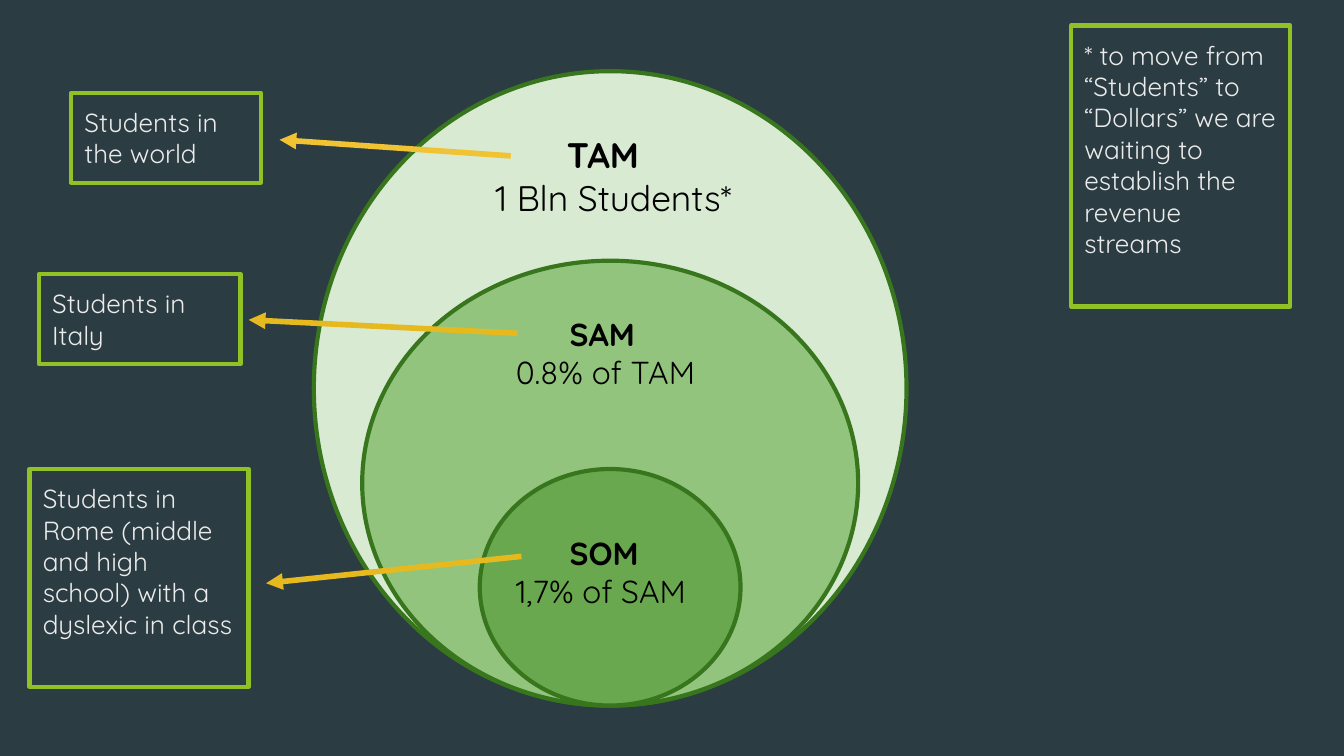
"""Build a market size slide: nested TAM, SAM and SOM circles with notes."""
from pptx import Presentation
from pptx.dml.color import RGBColor
from pptx.enum.shapes import MSO_CONNECTOR, MSO_SHAPE
from pptx.enum.text import MSO_ANCHOR, PP_ALIGN
from pptx.oxml.ns import qn
from pptx.util import Inches, Pt
from lxml.etree import SubElement

FONT = "Quicksand"
NIGHT = RGBColor(0x2C, 0x3C, 0x43)
PALE = RGBColor(0xD9, 0xEA, 0xD3)
MEDIUM = RGBColor(0x93, 0xC4, 0x7D)
STRONG = RGBColor(0x6A, 0xA8, 0x4F)
FOREST = RGBColor(0x38, 0x76, 0x1D)
LIME = RGBColor(0x90, 0xC2, 0x26)
GOLD = RGBColor(0xE6, 0xB9, 0x1E)
AMBER = RGBColor(0xF1, 0xC2, 0x32)
BLACK = RGBColor(0, 0, 0)
MIST = RGBColor(0xEB, 0xEB, 0xEB)

WIDTH = 10
HEIGHT = WIDTH * 9 / 16
CENTER, FLOOR = 4.54, 5.25
PADDING = 0.1

CIRCLES = [
    (MSO_SHAPE.OVAL, 4.41, 4.72, PALE),
    (MSO_SHAPE.FLOWCHART_CONNECTOR, 3.69, 3.31, MEDIUM),
    (MSO_SHAPE.OVAL, 1.94, 1.76, STRONG),
]
LABELS = [
    ((2.62, 0.89, 3.69, 0.84), 19,
     [("TAM", 1.5, PP_ALIGN.LEFT), ("1 Bln Students*", 0.2, PP_ALIGN.CENTER)]),
    ((3.74, 2.24, 1.84, 0.77), 17,
     [("SAM", 0.4, PP_ALIGN.LEFT), ("0.8% of TAM", 0, PP_ALIGN.LEFT)]),
    ((3.74, 3.87, 1.6, 0.77), 17,
     [("SOM", 0.4, PP_ALIGN.LEFT), ("1,7% of SAM", 0, PP_ALIGN.LEFT)]),
]
NOTES = [
    ("* to move from “Students” to “Dollars” we are waiting to establish "
     "the revenue streams", (7.97, 0.19, 1.63, 2.09)),
    ("Students in Italy", (0.29, 2.04, 1.5, 0.67)),
    ("Students in Rome (middle and high school) with a dyslexic in class",
     (0.22, 3.49, 1.63, 1.62)),
    ("Students in the world", (0.53, 0.69, 1.41, 0.67)),
]
ARROWS = [
    ((3.85, 2.48), (1.85, 2.38), GOLD),
    ((3.8, 1.16), (2.08, 1.04), AMBER),
    ((3.88, 4.14), (1.98, 4.34), GOLD),
]


def inches(values):
    return [Inches(value) for value in values]


def add_outlined(slide, kind, place, line_color, fill_color=None):
    shape = slide.shapes.add_shape(kind, *inches(place))
    shape.shadow.inherit = False
    if fill_color is None:
        shape.fill.background()
    else:
        shape.fill.solid()
        shape.fill.fore_color.rgb = fill_color
    shape.line.color.rgb = line_color
    shape.line.width = Pt(2.25)
    return shape


def write(box, lines, size, color, bold_first=False):
    frame = box.text_frame
    frame.word_wrap = True
    frame.vertical_anchor = MSO_ANCHOR.TOP
    frame.margin_left = frame.margin_right = Inches(PADDING)
    frame.margin_top = frame.margin_bottom = Inches(PADDING)
    for index, (text, indent, align) in enumerate(lines):
        para = frame.add_paragraph() if index else frame.paragraphs[0]
        para.alignment = align
        if indent:
            para._p.get_or_add_pPr().set("marL", str(Inches(indent)))
        span = para.add_run()
        span.text = text
        span.font.name = FONT
        span.font.size = Pt(size)
        span.font.bold = bold_first and index == 0
        span.font.color.rgb = color


def add_arrow(slide, start, end, color):
    arrow = slide.shapes.add_connector(
        MSO_CONNECTOR.STRAIGHT, *inches(start + end))
    arrow.line.color.rgb = color
    arrow.line.width = Pt(3)
    properties = arrow._element.spPr
    SubElement(properties.find(qn("a:ln")), qn("a:tailEnd"), type="triangle")
    SubElement(properties, qn("a:effectLst"))


def main():
    deck = Presentation()
    deck.slide_width, deck.slide_height = inches((WIDTH, HEIGHT))
    slide = deck.slides.add_slide(deck.slide_layouts[6])
    slide.background.fill.solid()
    slide.background.fill.fore_color.rgb = NIGHT

    for kind, width, height, color in CIRCLES:
        place = (CENTER - width / 2, FLOOR - height, width, height)
        add_outlined(slide, kind, place, FOREST, color)
    for place, size, lines in LABELS:
        box = slide.shapes.add_textbox(*inches(place))
        write(box, lines, size, BLACK, bold_first=True)
    for text, place in NOTES:
        box = add_outlined(slide, MSO_SHAPE.RECTANGLE, place, LIME)
        write(box, [(text, 0, PP_ALIGN.LEFT)], 14, MIST)
    for start, end, color in ARROWS:
        add_arrow(slide, start, end, color)

    deck.save("out.pptx")


if __name__ == "__main__":
    main()
